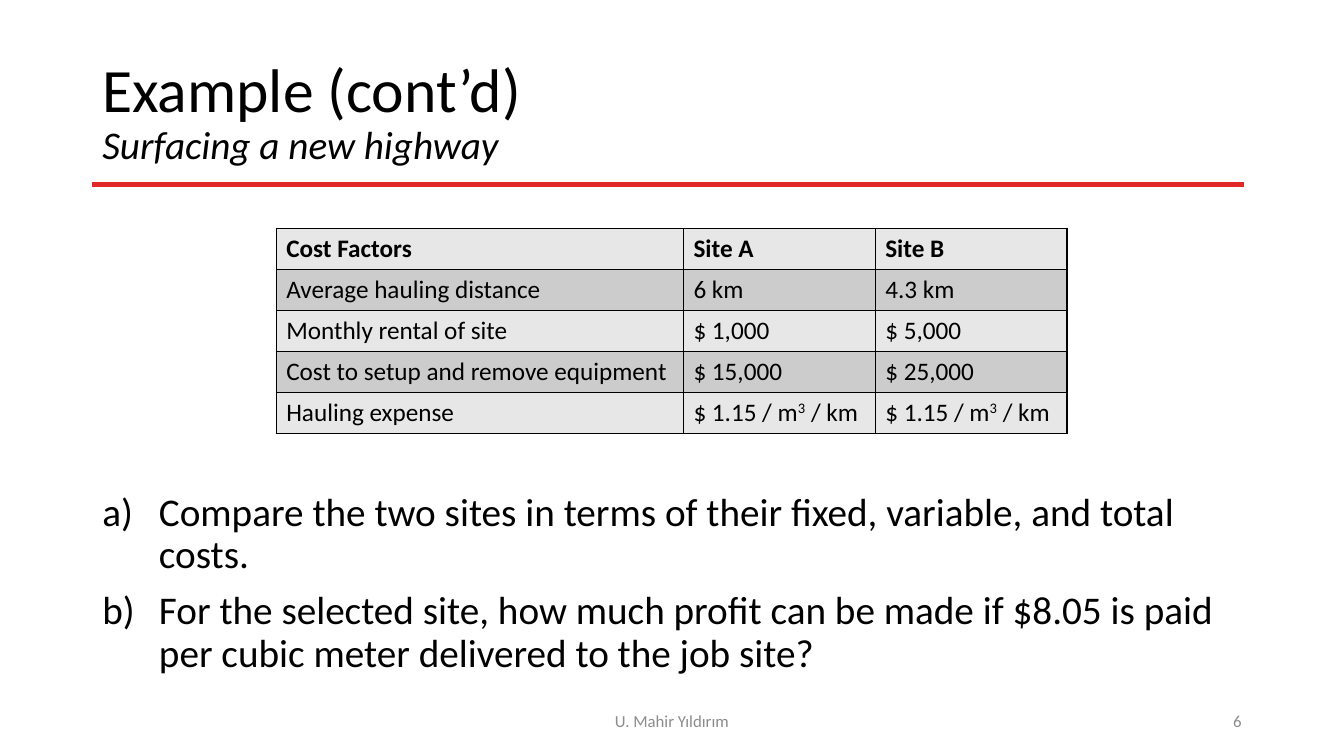
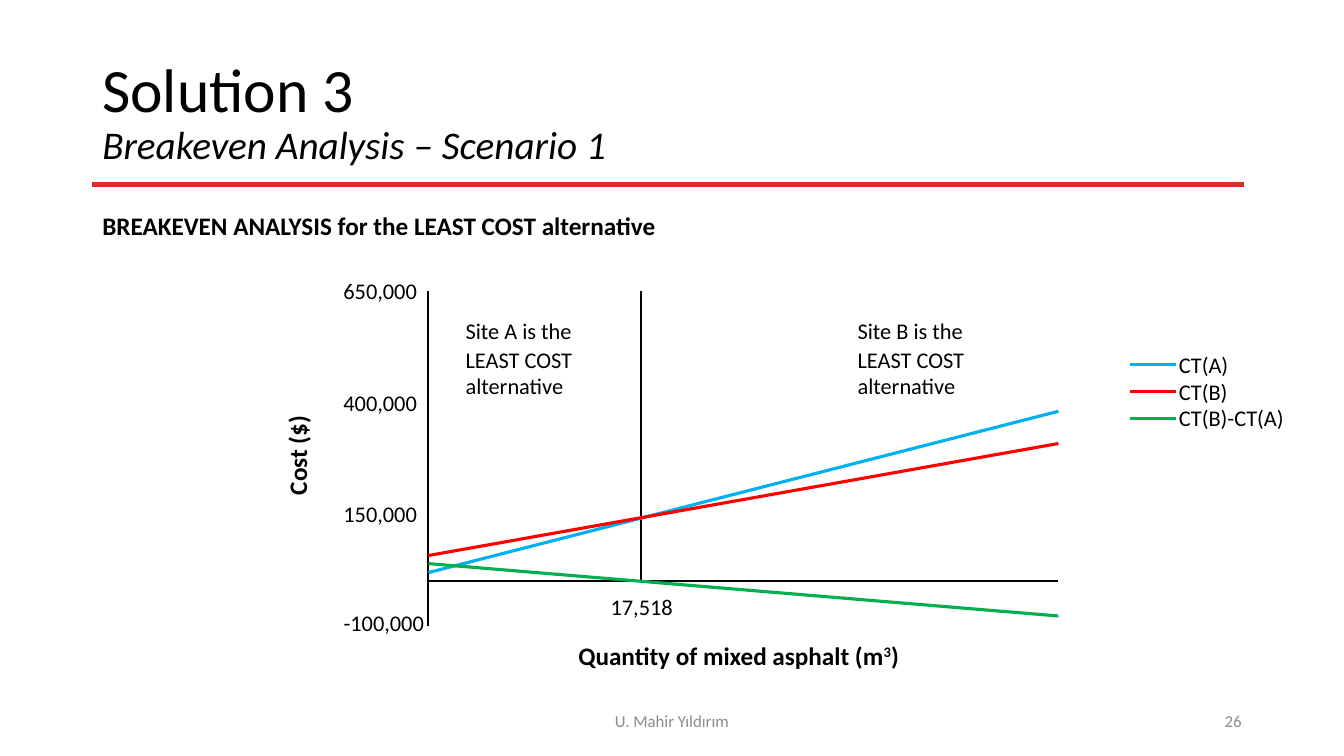
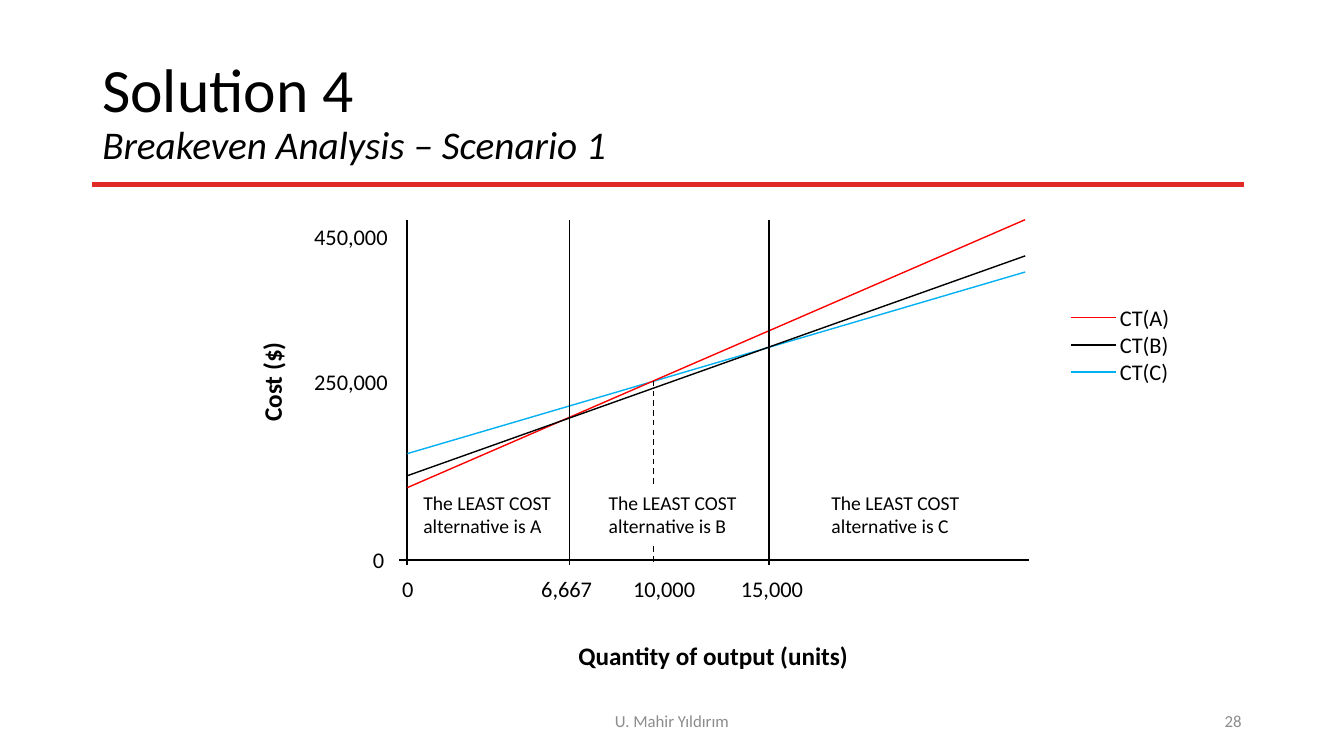
from lxml import etree
from pptx import Presentation
from pptx.dml.color import RGBColor
from pptx.enum.dml import MSO_LINE
from pptx.enum.shapes import MSO_CONNECTOR
from pptx.enum.text import MSO_ANCHOR, PP_ALIGN
from pptx.oxml.ns import qn
from pptx.util import Pt

STRAIGHT = MSO_CONNECTOR.STRAIGHT
DASH = MSO_LINE.DASH
MIDDLE = MSO_ANCHOR.MIDDLE
CENTER, RIGHT = PP_ALIGN.CENTER, PP_ALIGN.RIGHT

COLORS = {
    "text": "000000", "rule": "E12927", "footer": "8C8C8C", "white": "FFFFFF",
    "light": "E7E7E7", "dark": "CCCCCC",
    "blue": "00B0F0", "red": "FF0000", "green": "00B050",
}
FORMATS = {
    "title": {"size": Pt(44)},
    "subtitle": {"size": Pt(28), "italic": True},
    "body": {"size": Pt(28)},
    "heading": {"size": Pt(18), "bold": True},
    "cell": {"size": Pt(18), "bold": False},
    "label": {"size": Pt(16)},
    "note": {"size": Pt(14)},
    "footer": {"size": Pt(12)},
}


def rgb(name):
    return RGBColor.from_string(COLORS[name])


def write(p, text, style, color="text"):
    for i, part in enumerate(text.split("^")):
        r = p.add_run()
        r.text = part
        r.font.name = "Calibri"
        r.font.color.rgb = rgb(color)
        for key, value in FORMATS[style].items():
            setattr(r.font, key, value)
        if i % 2:
            r._r.get_or_add_rPr().set("baseline", "30000")


def add_text(s, box, lines, style, color="text", wrap=True, align=None, anchor=None, fill=None):
    sp = s.shapes.add_textbox(*map(Pt, box))
    tf = sp.text_frame
    tf.word_wrap = wrap
    if anchor is not None:
        tf.vertical_anchor = anchor
    if fill:
        sp.fill.solid()
        sp.fill.fore_color.rgb = rgb(fill)
    for i, line in enumerate(lines):
        p = tf.add_paragraph() if i else tf.paragraphs[0]
        if align is not None:
            p.alignment = align
        write(p, line, style, color)
    return sp


def add_line(s, ends, color, weight, dash=None):
    line = s.shapes.add_connector(STRAIGHT, *map(Pt, ends))
    line.line.color.rgb = rgb(color)
    line.line.width = Pt(weight)
    if dash is not None:
        line.line.dash_style = dash
    etree.SubElement(line._element.spPr, qn("a:effectLst"))


def add_base(prs, title, subtitle, number):
    s = prs.slides.add_slide(prs.slide_layouts[6])
    add_line(s, (66, 131.8, 888.5, 131.8), "rule", 3)
    sp = add_text(s, (66, 28.8, 828, 104.4), [title], "title", anchor=MIDDLE)
    p = sp.text_frame.paragraphs[0]
    p.line_spacing = 0.9
    p.add_line_break()
    write(p, subtitle, "subtitle")
    add_text(s, (318, 500.5, 324, 28.8), ["U. Mahir Yıldırım"], "footer", "footer",
             align=CENTER, anchor=MIDDLE)
    add_text(s, (678, 500.5, 216, 28.8), [number], "footer", "footer",
             align=RIGHT, anchor=MIDDLE)
    return s


def set_borders(cell):
    tcPr = cell._tc.get_or_add_tcPr()
    for i, side in enumerate(("lnL", "lnR", "lnT", "lnB")):
        ln = etree.Element(qn("a:" + side), w=str(Pt(1)))
        solid = etree.SubElement(ln, qn("a:solidFill"))
        etree.SubElement(solid, qn("a:srgbClr"), val=COLORS["text"])
        tcPr.insert(i, ln)


def add_cost_table(s, left, top, widths, row_height, rows):
    size = (sum(widths), row_height * len(rows))
    frame = s.shapes.add_table(len(rows), len(widths), *map(Pt, (left, top, *size)))
    table = frame.table
    table.first_row = table.horz_banding = False
    for column, width in zip(table.columns, widths):
        column.width = Pt(width)
    for i, row in enumerate(rows):
        table.rows[i].height = Pt(row_height)
        for j, text in enumerate(row):
            cell = table.cell(i, j)
            cell.fill.solid()
            cell.fill.fore_color.rgb = rgb("dark" if i % 2 else "light")
            set_borders(cell)
            write(cell.text_frame.paragraphs[0], text, "cell" if i else "heading")


def add_questions(s, box, questions):
    sp = add_text(s, box, questions, "body")
    for i, p in enumerate(sp.text_frame.paragraphs):
        p.line_spacing = 0.9
        p.space_before = Pt(10 if i else 0)
        pPr = p._p.get_or_add_pPr()
        pPr.set("marL", str(Pt(40.5)))
        pPr.set("indent", str(-Pt(40.5)))
        etree.SubElement(pPr, qn("a:buAutoNum"), type="alphaLcParenR")


def add_plot(s, origin, lines):
    x, y = origin
    for (x1, y1, x2, y2), *look in lines:
        add_line(s, (x + x1, y - y1, x + x2, y - y2), *look)


def add_ticks(s, origin, ticks):
    x, y = origin
    for text, cx, cy, width in ticks:
        box = (x + cx - width / 2, y - cy - 13.3, width, 26.6)
        add_text(s, box, [text], "label", wrap=False)


def add_axis_titles(s, cost_at, quantity, width):
    cost = add_text(s, (*cost_at, 72, 29), ["Cost ($)"], "heading", wrap=False)
    cost.rotation = 270
    add_text(s, (406, 453.6, width, 29), [quantity], "heading", wrap=False)


def add_legend(s, left, top, width, weight, series):
    add_text(s, (left + 28, top, width, 65.5), [name for name, _ in series], "label", wrap=False)
    for i, (_, color) in enumerate(series):
        y = top + 13.4 + 19.4 * i
        add_line(s, (left, y, left + 32.7, y), color, weight)


def build_example(prs):
    s = add_base(prs, "Example (cont’d)", "Surfacing a new highway", "6")
    add_cost_table(s, 197.3, 163.4, (290.9, 137, 137), 29.2, [
        ("Cost Factors", "Site A", "Site B"),
        ("Average hauling distance", "6 km", "4.3 km"),
        ("Monthly rental of site", "$ 1,000", "$ 5,000"),
        ("Cost to setup and remove equipment", "$ 15,000", "$ 25,000"),
        ("Hauling expense", "$ 1.15 / m^3^ / km", "$ 1.15 / m^3^ / km"),
    ])
    add_questions(s, (66, 348, 828, 139), [
        "Compare the two sites in terms of their fixed, variable, and total costs.",
        "For the selected site, how much profit can be made if $8.05 is paid per cubic meter "
        "delivered to the job site?",
    ])


def build_sites(prs):
    s = add_base(prs, "Solution 3", "Breakeven Analysis – Scenario 1", "26")
    add_text(s, (66, 147, 413.3, 29), ["BREAKEVEN ANALYSIS for the LEAST COST alternative"],
             "heading", wrap=False)
    origin = x, y = 306, 414.8
    add_plot(s, origin, [
        ((0, 206.7, 0, -32.4), "text", 1.5),
        ((450, 0, 0, 0), "text", 1.5),
        ((152, 206.7, 152, 0), "text", 1),
        ((0, 5.8, 450, 121), "blue", 2.25),
        ((0, 18, 450, 98), "red", 2.25),
        ((0, 12.2, 450, -25.2), "green", 2.25),
    ])
    add_ticks(s, origin, [
        ("650,000", -33.9, 207, 67.7), ("400,000", -33.9, 127.2, 67.7),
        ("150,000", -33.9, 48, 67.7), ("-100,000", -31.3, -30, 72.7),
        ("17,518", 153, -19, 59.8),
    ])
    add_axis_titles(s, (176.4, 310.3), "Quantity of mixed asphalt (m^3^)", 249.8)
    for site, left in (("A", 19.5), ("B", 299.5)):
        add_text(s, (x + left, y - 191.6, 100, 26.6), [f"Site {site} is the"], "label")
        add_text(s, (x + left, y - 171.4, 100, 46), ["LEAST COST alternative"], "label")
    add_legend(s, 807, 247, 90, 2.25,
               [("CT(A)", "blue"), ("CT(B)", "red"), ("CT(B)-CT(A)", "green")])


def build_outputs(prs):
    s = add_base(prs, "Solution 4", "Breakeven Analysis – Scenario 1", "28")
    origin = x, y = 291, 400.3
    add_plot(s, origin, [
        ((0, 243.4, 0, -3.6), "text", 1.5),
        ((444, 0, -5.8, 0), "text", 1.5),
        ((0, 76.3, 441.3, 206), "blue", 1),
        ((0, 52, 441.3, 243.4), "red", 1),
        ((0, 60.5, 441.3, 217.5), "text", 1),
        ((116, 243.4, 116, -3.6), "text", 1),
        ((258.4, 243.4, 258.4, -3.6), "text", 1),
        ((175.6, 128.2, 175.6, -3.6), "text", 1, DASH),
    ])
    for name, left, fill in (("A", 4.3, None), ("B", 136.7, "white"), ("C", 295.8, None)):
        add_text(s, (x + left, y - 53.3, 110.9, 41),
                 [f"The LEAST COST alternative is {name}"], "note", fill=fill)
    add_ticks(s, origin, [
        ("450,000", -39.8, 230.8, 67.7), ("250,000", -39.8, 127.8, 67.7), ("0", -20.3, 0.3, 23),
        ("0", 0.7, -20.5, 23), ("6,667", 114, -20.5, 51),
        ("10,000", 184, -20.5, 59.8), ("15,000", 261, -20.5, 59.8),
    ])
    add_legend(s, 764.8, 213.6, 87, 1, [("CT(A)", "red"), ("CT(B)", "text"), ("CT(C)", "blue")])
    add_axis_titles(s, (158.4, 257.8), "Quantity of output (units)", 208.8)


def main():
    prs = Presentation()
    prs.slide_width, prs.slide_height = Pt(960), Pt(540)
    for build in (build_example, build_sites, build_outputs):
        build(prs)
    prs.save("out.pptx")


if __name__ == "__main__":
    main()
